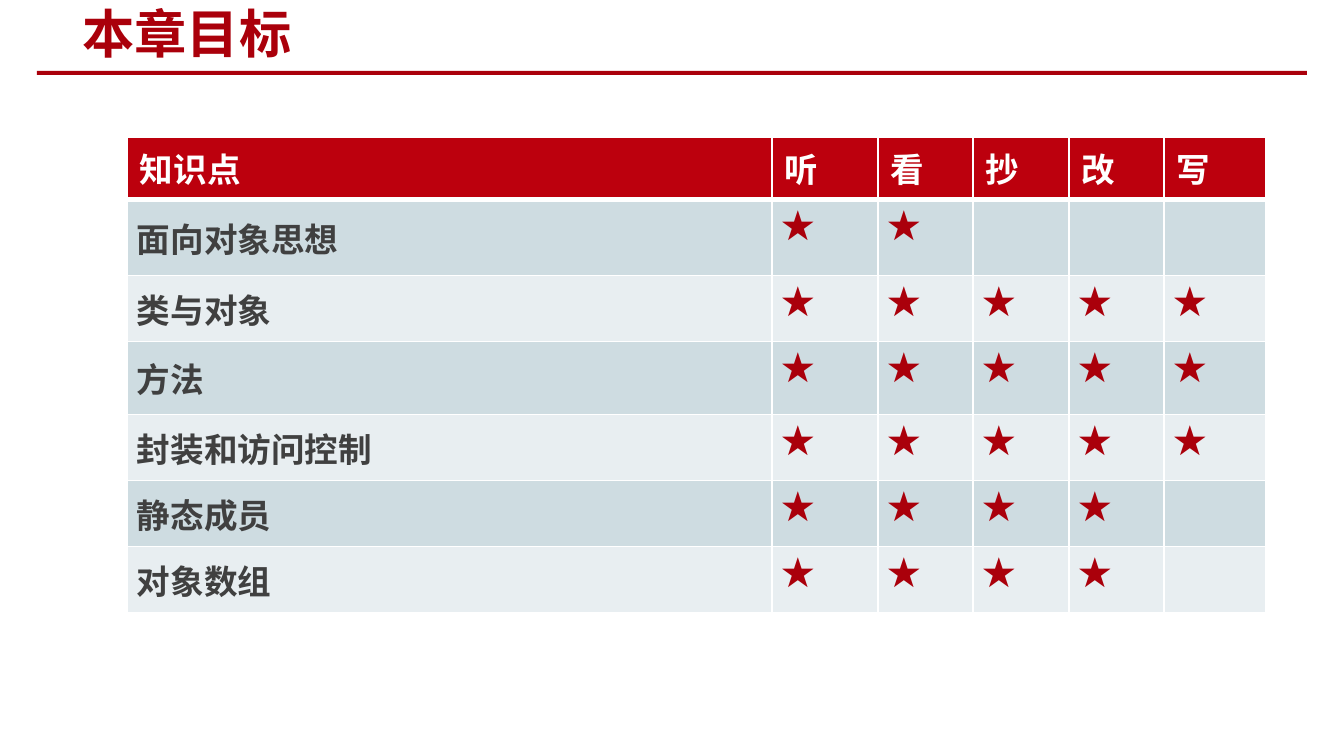
from dataclasses import dataclass

from lxml import etree
from pptx import Presentation
from pptx import util as u
from pptx.dml.color import RGBColor
from pptx.enum import shapes, text
from pptx.oxml.ns import qn

EMU_PER_PX = 914400 / 134.4
FONT = "Noto Sans CJK SC"
RED, HEADER_RED, WHITE, GREY = "AA000B", "BC000D", "FFFFFF", "404040"
BANDS = ("CEDCE1", "E8EEF1")
STAR = "★"
SKILLS = ("听", "看", "抄", "改", "写")
COLUMN_WIDTHS = (645, 106, 95, 96, 95, 102)
HEADER_HEIGHT = 61


@dataclass(frozen=True)
class Topic:
    name: str
    stars: int
    height: int


@dataclass(frozen=True)
class CellStyle:
    fill: str
    color: str
    margins: tuple[int, int]
    anchor: text.MSO_ANCHOR = text.MSO_ANCHOR.TOP
    top_border: int = 1
    bottom_border: int = 1


TOPICS = (
    Topic("面向对象思想", 2, 76),
    Topic("类与对象", 5, 66),
    Topic("方法", 5, 73),
    Topic("封装和访问控制", 5, 66),
    Topic("静态成员", 4, 66),
    Topic("对象数组", 4, 66),
)


def px(value: int) -> u.Emu:
    return u.Emu(round(value * EMU_PER_PX))


def rgb(value: str) -> RGBColor:
    return RGBColor.from_string(value)


def set_values(target, values: dict) -> None:
    for name, value in values.items():
        setattr(target, name, value)


def write(frame, words: str, size: int, color: str) -> None:
    """Fill a text frame with one bold, left-aligned line."""
    paragraph = frame.paragraphs[0]
    paragraph.alignment = text.PP_ALIGN.LEFT
    run = paragraph.add_run()
    run.text = words
    run.font.color.rgb = rgb(color)
    set_values(run.font, {"size": u.Pt(size), "bold": True, "name": FONT})
    etree.SubElement(run.font._element, qn("a:ea"), typeface=FONT)


def add_borders(cell, style: CellStyle) -> None:
    properties = cell._tc.get_or_add_tcPr()
    widths = {"L": 1, "R": 1, "T": style.top_border, "B": style.bottom_border}
    for index, (side, width) in enumerate(widths.items()):
        line = etree.Element(qn(f"a:ln{side}"), w=str(u.Pt(width)))
        fill = etree.SubElement(line, qn("a:solidFill"))
        etree.SubElement(fill, qn("a:srgbClr"), val=WHITE)
        properties.insert(index, line)


def draw_cell(cell, words: str, style: CellStyle) -> None:
    side, end = (px(margin) for margin in style.margins)
    set_values(cell, {
        "margin_left": side, "margin_right": side,
        "margin_top": end, "margin_bottom": end,
        "vertical_anchor": style.anchor,
    })
    cell.fill.solid()
    cell.fill.fore_color.rgb = rgb(style.fill)
    add_borders(cell, style)
    if words:
        write(cell.text_frame, words, 18, style.color)
    else:
        cell.text_frame.paragraphs[0].font.size = u.Pt(18)


def draw_title(slide) -> None:
    rule = slide.shapes.add_shape(
        shapes.MSO_SHAPE.RECTANGLE, px(37), px(71), px(1270), px(4))
    rule.shadow.inherit = False
    rule.fill.solid()
    rule.fill.fore_color.rgb = rgb(RED)
    rule.line.fill.background()

    title = slide.shapes.title
    set_values(title, {"left": px(69), "top": px(3),
                       "width": px(712), "height": px(60)})
    set_values(title.text_frame, {
        "vertical_anchor": text.MSO_ANCHOR.MIDDLE, "word_wrap": True,
        "auto_size": text.MSO_AUTO_SIZE.NONE,
    })
    write(title.text_frame, "本章目标", 28, RED)


def draw_goals(slide) -> None:
    heights = (HEADER_HEIGHT, *(topic.height for topic in TOPICS))
    table = slide.shapes.add_table(
        len(heights), len(COLUMN_WIDTHS), px(127), px(137),
        px(sum(COLUMN_WIDTHS)), px(sum(heights))).table
    for column, width in zip(table.columns, COLUMN_WIDTHS):
        column.width = px(width)
    for row, height in zip(table.rows, heights):
        row.height = px(height)

    header = CellStyle(HEADER_RED, WHITE, (13, 7), bottom_border=3)
    for column, words in enumerate(("知识点", *SKILLS)):
        draw_cell(table.cell(0, column), words, header)

    for row, topic in enumerate(TOPICS, start=1):
        fill = BANDS[(row - 1) % len(BANDS)]
        top_border = 3 if row == 1 else 1
        name_style = CellStyle(fill, GREY, (10, 0), text.MSO_ANCHOR.MIDDLE, top_border)
        star_style = CellStyle(fill, RED, (10, 0), top_border=top_border)
        draw_cell(table.cell(row, 0), topic.name, name_style)
        for column in range(1, len(COLUMN_WIDTHS)):
            mark = STAR if column <= topic.stars else ""
            draw_cell(table.cell(row, column), mark, star_style)


def main() -> None:
    presentation = Presentation()
    set_values(presentation, {"slide_width": px(1344), "slide_height": px(756)})
    slide = presentation.slides.add_slide(presentation.slide_layouts[5])
    draw_title(slide)
    draw_goals(slide)
    presentation.save("out.pptx")


if __name__ == "__main__":
    main()
